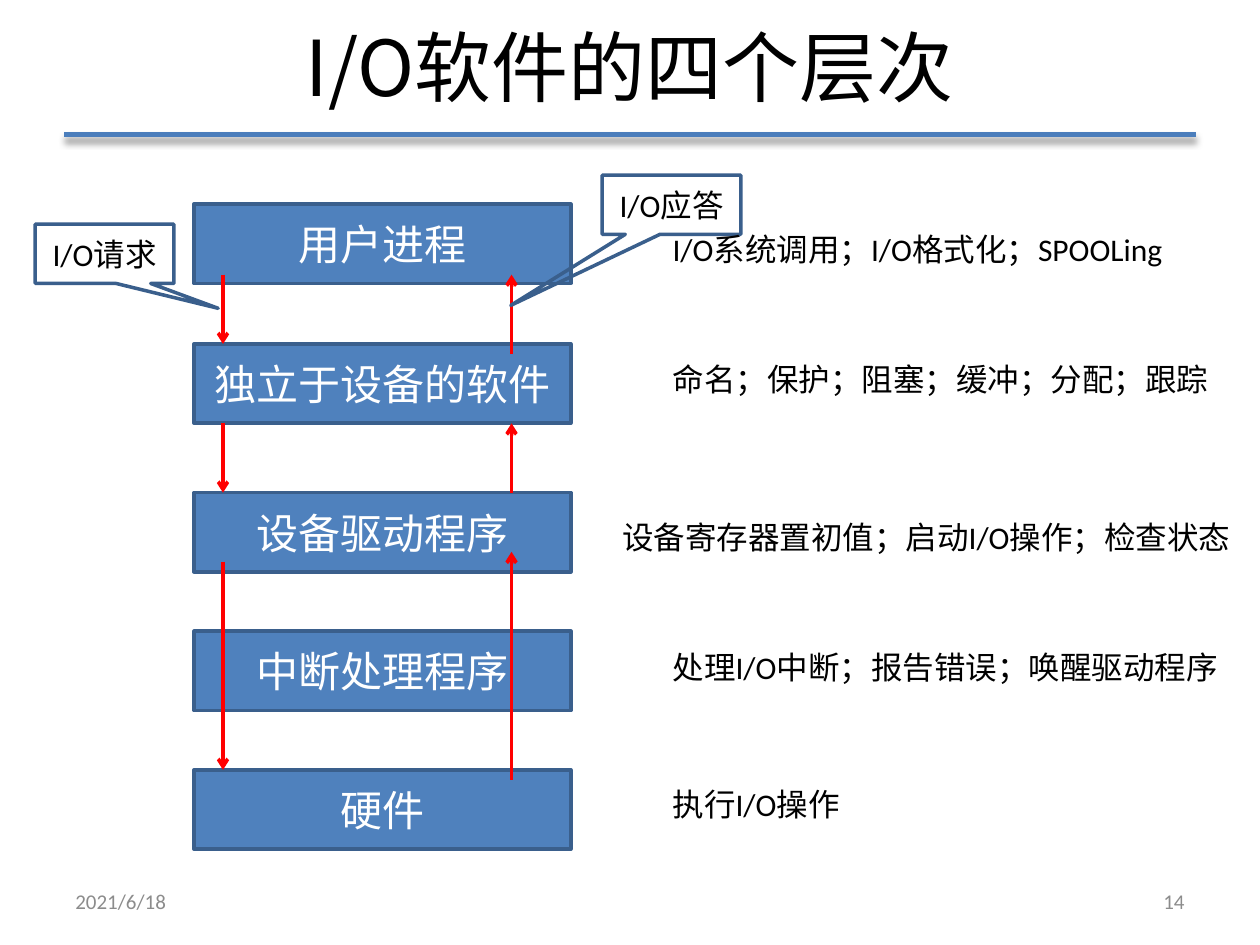
from dataclasses import dataclass

from lxml import etree
from pptx import Presentation
from pptx.dml.color import RGBColor
from pptx.enum.shapes import MSO_CONNECTOR, MSO_SHAPE
from pptx.enum.text import MSO_ANCHOR, PP_ALIGN
from pptx.oxml.ns import qn
from pptx.util import Inches, Pt

BLACK = RGBColor(0x00, 0x00, 0x00)
WHITE = RGBColor(0xFF, 0xFF, 0xFF)
GRAY = RGBColor(0x8C, 0x8C, 0x8C)
BLUE = RGBColor(0x4F, 0x81, 0xBD)
DARK_BLUE = RGBColor(0x3A, 0x5F, 0x8C)
RULE_BLUE = RGBColor(0x4B, 0x7E, 0xBC)
RED = RGBColor(0xFF, 0x00, 0x00)

STRAIGHT = MSO_CONNECTOR.STRAIGHT
RECTANGLE = MSO_SHAPE.RECTANGLE
CALLOUT = MSO_SHAPE.RECTANGULAR_CALLOUT
LEFT, CENTER, RIGHT = PP_ALIGN.LEFT, PP_ALIGN.CENTER, PP_ALIGN.RIGHT
TOP, MIDDLE = MSO_ANCHOR.TOP, MSO_ANCHOR.MIDDLE

LAYER_LEFT, LAYER_WIDTH, LAYER_HEIGHT = 1.54, 2.99, 0.63
REQUEST_X, REPLY_X = 1.77, 4.06


@dataclass
class Layer:
    name: str
    top: float
    duties: str
    duties_left: float
    duties_top: float
    duties_width: float


@dataclass
class Flow:
    x: float
    start: float
    end: float


@dataclass
class Callout:
    label: str
    left: float
    top: float
    tip: tuple[float, float]


LAYERS = [
    Layer("用户进程", 1.62, "I/O系统调用；I/O格式化；SPOOLing", 5.24, 1.78, 4.13),
    Layer("独立于设备的软件", 2.73, "命名；保护；阻塞；缓冲；分配；跟踪", 5.24, 2.81, 4.49),
    Layer("设备驱动程序", 3.91, "设备寄存器置初值；启动I/O操作；检查状态", 4.84, 4.06, 5.07),
    Layer("中断处理程序", 5.01, "处理I/O中断；报告错误；唤醒驱动程序", 5.24, 5.09, 4.57),
    Layer("硬件", 6.11, "执行I/O操作", 5.24, 6.18, 1.54),
]
FLOWS = [
    Flow(REQUEST_X, 2.18, 2.73),
    Flow(REQUEST_X, 3.36, 3.91),
    Flow(REQUEST_X, 4.46, 6.11),
    Flow(REPLY_X, 6.19, 4.38),
    Flow(REPLY_X, 3.91, 3.36),
    Flow(REPLY_X, 2.81, 2.18),
]
CALLOUTS = [
    Callout("I/O请求", 0.28, 1.78, (0.82, 0.92)),
    Callout("I/O应答", 4.78, 1.39, (-1.16, 1.7)),
]


def write(shape, text: str, size: int, color: RGBColor, align=LEFT,
          anchor=TOP, font: str = "Calibri") -> None:
    frame = shape.text_frame
    frame.text = text
    frame.word_wrap = True
    frame.vertical_anchor = anchor
    paragraph = frame.paragraphs[0]
    paragraph.alignment = align
    for run in paragraph.runs:
        run.font.name = font
        run.font.size = Pt(size)
        run.font.color.rgb = color


def add_label(slide, text: str, left: float, top: float, width: float,
              size: int, color: RGBColor, align=LEFT, anchor=TOP) -> None:
    label = slide.shapes.add_textbox(
        Inches(left), Inches(top), Inches(width), Inches(0.4))
    write(label, text, size, color, align, anchor)


def add_outlined(slide, kind, left: float, top: float, width: float, height: float):
    outlined = slide.shapes.add_shape(
        kind, Inches(left), Inches(top), Inches(width), Inches(height))
    outlined.shadow.inherit = False
    outlined.line.color.rgb = DARK_BLUE
    outlined.line.width = Pt(2)
    return outlined


def add_line(slide, start: tuple[float, float], end: tuple[float, float],
             color: RGBColor, width: int):
    line = slide.shapes.add_connector(
        STRAIGHT, *(Inches(length) for length in start + end))
    line.line.color.rgb = color
    line.line.width = Pt(width)
    effects = etree.SubElement(line._element.spPr, qn("a:effectLst"))
    return line, effects


def add_title_rule(slide) -> None:
    _, effects = add_line(slide, (0.51, 1.07), (9.49, 1.07), RULE_BLUE, 3)
    shadow = etree.SubElement(
        effects, qn("a:outerShdw"), blurRad=str(Pt(4)), dist=str(Pt(3)),
        dir="5400000", rotWithShape="0")
    shade = etree.SubElement(shadow, qn("a:srgbClr"), val=str(BLACK))
    etree.SubElement(shade, qn("a:alpha"), val="40000")


def add_layer(slide, layer: Layer) -> None:
    box = add_outlined(slide, RECTANGLE, LAYER_LEFT, layer.top, LAYER_WIDTH, LAYER_HEIGHT)
    box.fill.solid()
    box.fill.fore_color.rgb = BLUE
    write(box, layer.name, 24, WHITE, CENTER, MIDDLE)


def add_flow(slide, flow: Flow) -> None:
    arrow, _ = add_line(slide, (flow.x, flow.start), (flow.x, flow.end), RED, 2)
    etree.SubElement(arrow.line._get_or_add_ln(), qn("a:tailEnd"), type="arrow")


def add_callout(slide, callout: Callout) -> None:
    bubble = add_outlined(slide, CALLOUT, callout.left, callout.top, 1.1, 0.47)
    bubble.fill.background()
    bubble.adjustments[0], bubble.adjustments[1] = callout.tip
    write(bubble, callout.label, 18, BLACK, CENTER, MIDDLE)


def main() -> None:
    deck = Presentation()
    deck.slide_width, deck.slide_height = Inches(10), Inches(7.5)
    slide = deck.slides.add_slide(deck.slide_layouts[5])

    title = slide.shapes.title
    title.left, title.top = Inches(0.5), Inches(-0.03)
    title.width, title.height = Inches(9), Inches(1.1)
    write(title, "I/O软件的四个层次", 44, BLACK, CENTER, MIDDLE, "Noto Sans CJK JP")
    add_title_rule(slide)
    add_label(slide, "2021/6/18", 0.5, 6.95, 2.33, 12, GRAY, LEFT, MIDDLE)
    add_label(slide, "14", 7.17, 6.95, 2.33, 12, GRAY, RIGHT, MIDDLE)

    for layer in LAYERS:
        add_layer(slide, layer)
    for flow in FLOWS:
        add_flow(slide, flow)
    for callout in CALLOUTS:
        add_callout(slide, callout)
    for layer in LAYERS:
        add_label(slide, layer.duties, layer.duties_left, layer.duties_top,
                  layer.duties_width, 18, BLACK)

    deck.save("out.pptx")


if __name__ == "__main__":
    main()
